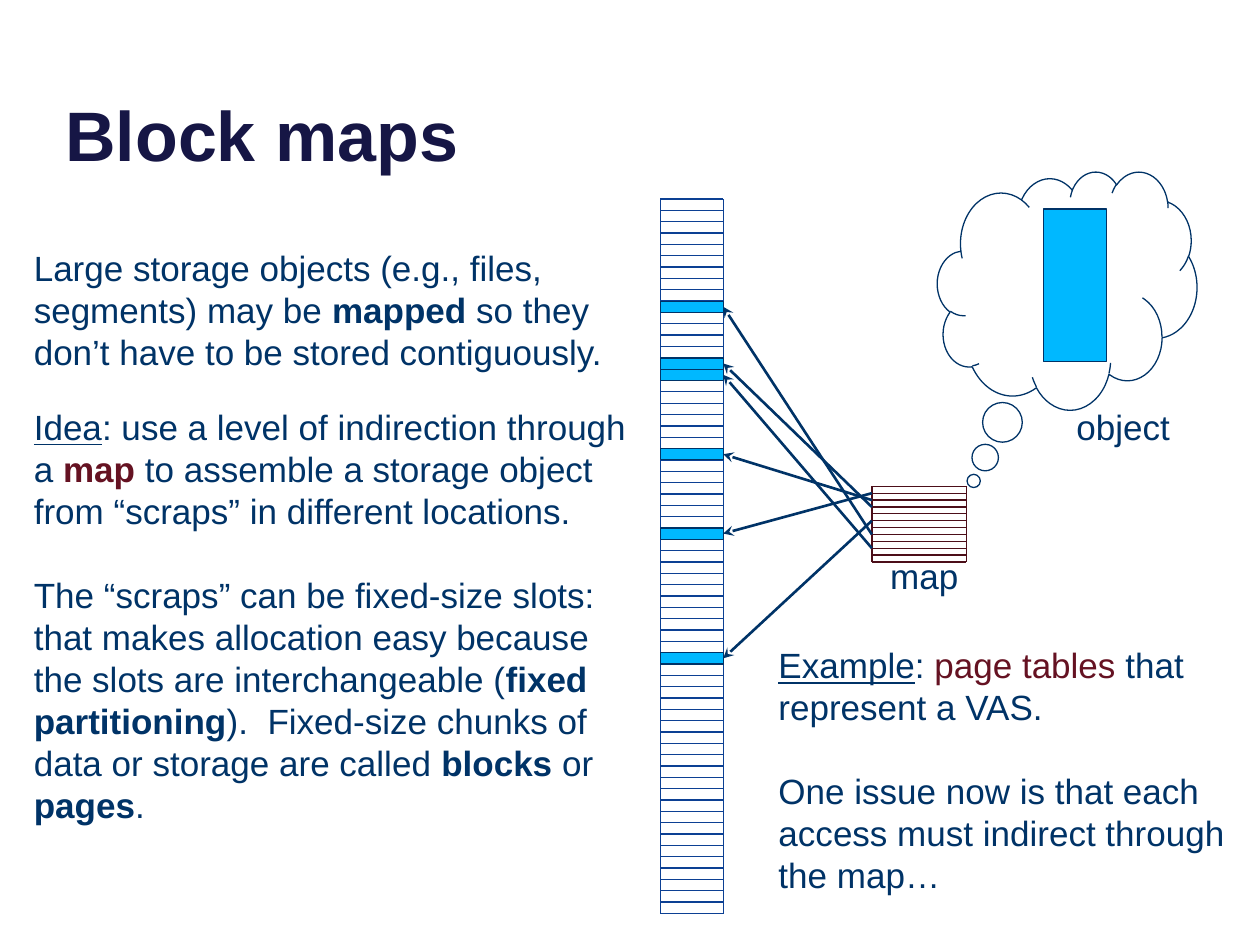
from dataclasses import dataclass

from lxml import etree
from pptx import Presentation
from pptx.dml.color import RGBColor
from pptx.enum.shapes import MSO_CONNECTOR, MSO_SHAPE
from pptx.enum.text import MSO_ANCHOR, MSO_AUTO_SIZE, PP_ALIGN
from pptx.oxml.ns import qn
from pptx.util import Inches, Pt

STRAIGHT = MSO_CONNECTOR.STRAIGHT
RECT = MSO_SHAPE.RECTANGLE
CLOUD = MSO_SHAPE.CLOUD_CALLOUT
BOTTOM = MSO_ANCHOR.BOTTOM
TOP = MSO_ANCHOR.TOP
FIXED = MSO_AUTO_SIZE.NONE
LEFT = PP_ALIGN.LEFT
CENTER = PP_ALIGN.CENTER
RIGHT_SIDE = 3


@dataclass(frozen=True)
class Theme:
    font: str = "Arial"
    ink: str = "003367"
    title: str = "161645"
    wine: str = "651222"
    grid: str = "0C4093"
    frame: str = "4C0E19"
    block: str = "00B8FF"
    head_size: int = 40
    size: int = 20
    pitch: int = 24
    thin: float = 0.75
    thick: float = 1.5


def write(para, text, font, size, color, bold=False, under=False):
    run = para.add_run()
    run.text = text
    run.font.name = font
    run.font.size = Pt(size)
    run.font.color.rgb = RGBColor.from_string(color)
    run.font.bold = bold
    run.font.underline = under


class Board:
    def __init__(self, slide, theme):
        self.slide = slide
        self.theme = theme

    def title(self, text, left, top, width, height):
        theme = self.theme
        shape = self.slide.shapes.title
        shape.left, shape.top = Inches(left), Inches(top)
        shape.width, shape.height = Inches(width), Inches(height)
        frame = shape.text_frame
        frame.auto_size = FIXED
        frame.vertical_anchor = BOTTOM
        para = frame.paragraphs[0]
        para.alignment = LEFT
        write(para, text, theme.font, theme.head_size, theme.title, bold=True)

    def text(self, left, top, width, height, *paras, align=LEFT):
        theme = self.theme
        box = self.slide.shapes.add_textbox(
            Inches(left), Inches(top), Inches(width), Inches(height))
        frame = box.text_frame
        frame.word_wrap = True
        frame.auto_size = FIXED
        frame.vertical_anchor = TOP
        for i, parts in enumerate(paras):
            para = frame.add_paragraph() if i else frame.paragraphs[0]
            para.alignment = align
            para.line_spacing = Pt(theme.pitch)
            para.space_before = Pt(theme.pitch if i else 0)
            for words, style in parts:
                write(para, words, theme.font, theme.size,
                      **{"color": theme.ink, **style})

    def shape(self, kind, left, top, width, height, fill=None):
        shape = self.slide.shapes.add_shape(
            kind, Inches(left), Inches(top), Inches(width), Inches(height))
        shape.shadow.inherit = False
        if fill:
            shape.fill.solid()
            shape.fill.fore_color.rgb = RGBColor.from_string(fill)
        else:
            shape.fill.background()
        shape.line.color.rgb = RGBColor.from_string(self.theme.ink)
        shape.line.width = Pt(self.theme.thin)
        return shape

    def line(self, start, end, color, weight, parent=None):
        shapes = (parent or self.slide).shapes
        line = shapes.add_connector(
            STRAIGHT, *(Inches(v) for v in (*start, *end)))
        line.line.color.rgb = RGBColor.from_string(color)
        line.line.width = Pt(weight)
        etree.SubElement(line._element.spPr, qn("a:effectLst"))
        return line

    def arrow(self, slot, start, end):
        line = self.line(start, end, self.theme.ink, self.theme.thick)
        line.begin_connect(slot, RIGHT_SIDE)
        etree.SubElement(line.line._get_or_add_ln(), qn("a:headEnd"),
                         type="stealth")

    def ladder(self, left, top, width, rows, step, color):
        group = self.slide.shapes.add_group_shape()
        right, base = left + width, top + rows * step
        rungs = [((left, top + i * step), (right, top + i * step))
                 for i in range(rows + 1)]
        rails = [((x, base), (x, top)) for x in (left, right)]
        for start, end in rungs + rails:
            self.line(start, end, color, self.theme.thin, group)


def main():
    deck = Presentation()
    deck.slide_width, deck.slide_height = Inches(10), Inches(7.5)
    theme = Theme()
    board = Board(deck.slides.add_slide(deck.slide_layouts[5]), theme)
    plain, bold, under = {}, {"bold": True}, {"under": True}
    wine = {"color": theme.wine}

    board.title("Block maps", 0.42, -0.26, 8.83, 1.7)

    disk_x, disk_y, disk_w, slot_h = 5.24, 1.58, 0.5, 0.09
    map_x, map_y, map_w, map_rows = 6.92, 3.86, 0.75, 11
    row_h = 0.6 / map_rows
    board.ladder(disk_x, disk_y, disk_w, 63, slot_h, theme.grid)
    board.ladder(map_x, map_y, map_w, map_rows, row_h, theme.frame)

    links = {9: 7, 14: 3, 15: 9, 22: 2, 29: 1, 40: 5}
    for index, row in links.items():
        top = disk_y + index * slot_h
        slot = board.shape(RECT, disk_x, top, disk_w, slot_h, theme.block)
        board.arrow(slot, (disk_x + disk_w, top + slot_h / 2),
                    (map_x, map_y + row * row_h))

    cloud = board.shape(CLOUD, 7.44, 1.36, 2.06, 1.89)
    cloud.adjustments[0], cloud.adjustments[1] = -0.36, 0.8
    board.shape(RECT, 8.28, 1.66, disk_w, 1.21, theme.block)

    for name, left, top in (("map", 6.67, 4.35), ("object", 8.25, 3.17)):
        board.text(left, top, 1.33, 0.44, [(name, plain)], align=CENTER)

    board.text(
        0.17, 1.91, 4.83, 1.45,
        [("Large storage objects (e.g., files, segments) may be ", plain),
         ("mapped", bold),
         (" so they don’t have to be stored contiguously.", plain)])
    board.text(
        0.17, 3.17, 4.92, 3.47,
        [("Idea", under),
         (": use a level of indirection through a ", plain),
         ("map", {**wine, **bold}),
         (" to assemble a storage object from “scraps” in different "
          "locations.", plain)],
        [("The “scraps” can be fixed-size slots: that makes allocation easy "
          "because the slots are interchangeable (", plain),
         ("fixed partitioning", bold),
         (").  Fixed-size chunks of data or storage are called ", plain),
         ("blocks", bold), (" or ", plain), ("pages", bold), (".", plain)])
    board.text(
        6.08, 5.06, 4.09, 2.46,
        [("Example", under), (": ", plain), ("page tables", wine),
         (" that represent a VAS.", plain)],
        [("One issue now is that each access must indirect through the "
          "map…", plain)])

    deck.save("out.pptx")


if __name__ == "__main__":
    main()
